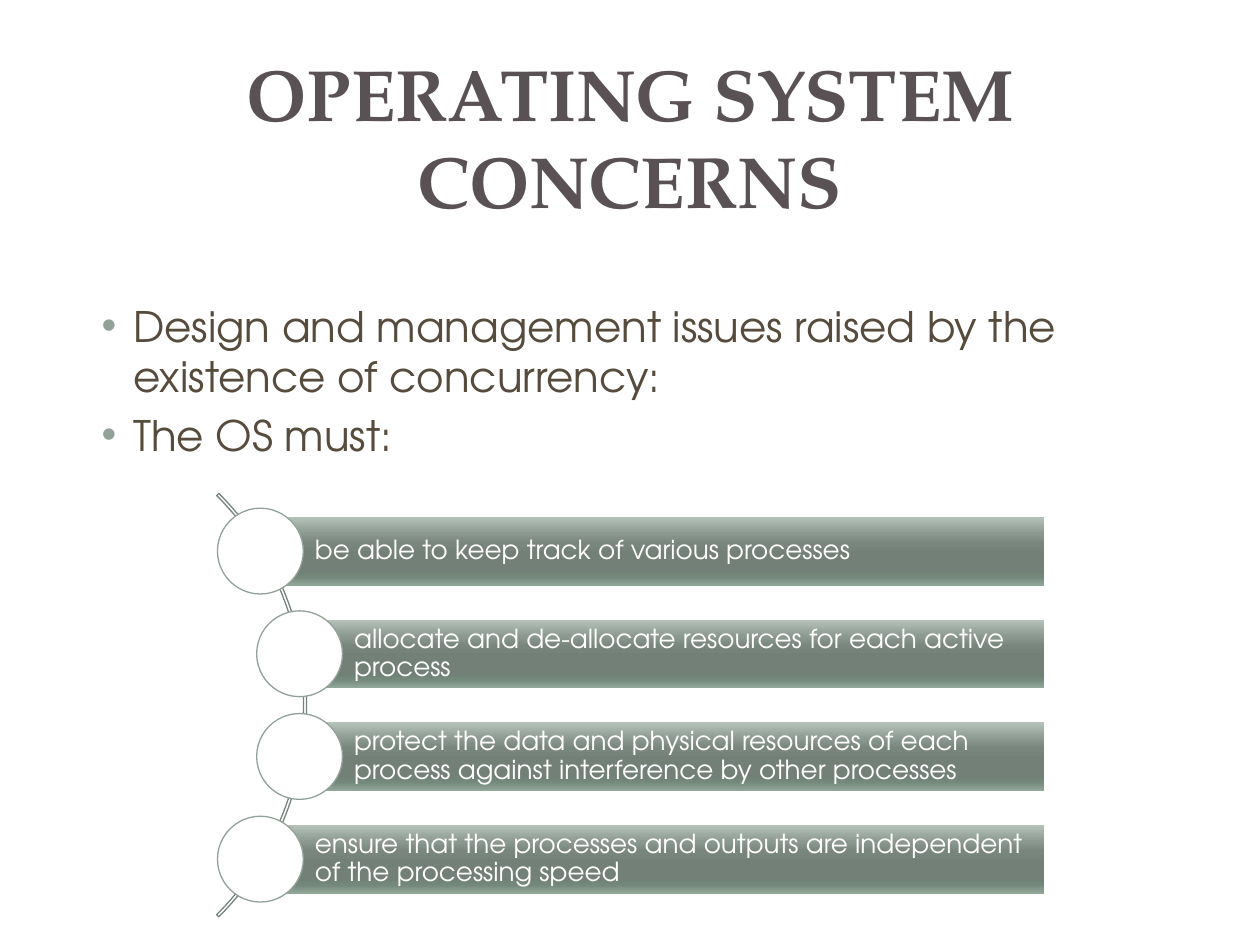
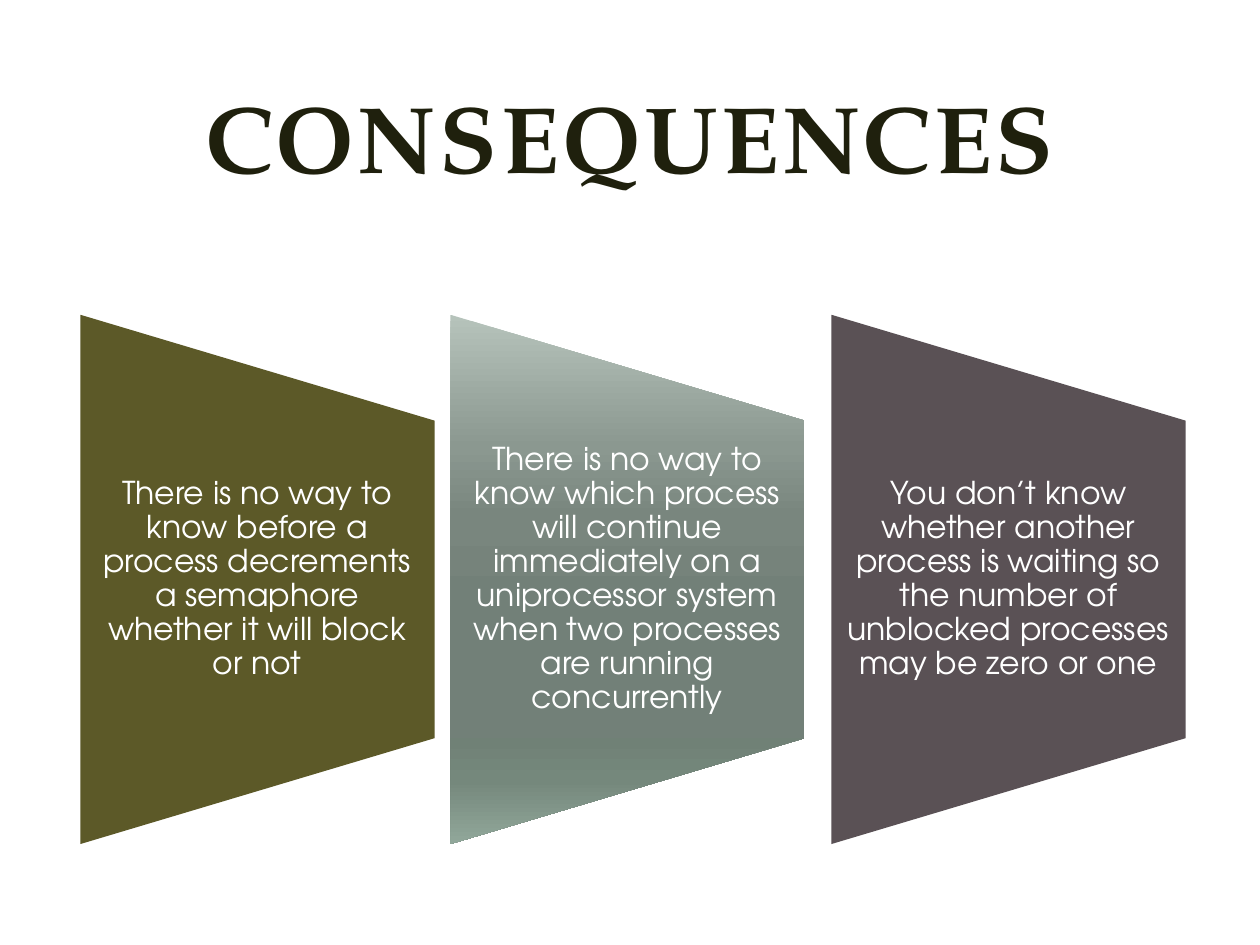
from dataclasses import dataclass

from lxml import etree
from pptx import Presentation
from pptx import util as u
from pptx.dml.color import RGBColor
from pptx.enum import shapes, text
from pptx.oxml import ns

Cm, Pt = u.Cm, u.Pt


@dataclass(frozen=True)
class Theme:
    title_font: str = "TeX Gyre Pagella"
    body_font: str = "TeX Gyre Adventor"
    bullet_font: str = "Arial"
    white: str = "FFFFFF"
    plum: str = "5A5155"
    dark_olive: str = "1F200D"
    olive: str = "5C5928"
    brown: str = "564B3C"
    sage: str = "93A299"
    arc_line: str = "76827B"
    # (position in percent, colour), from top to bottom
    sage_gradient: tuple = (
        (0, "B6C3BB"), (25, "8B9890"), (38, "79867E"), (55, "728078"),
        (80, "708176"), (88, "75887C"), (100, "91A79A"))
    body_size: float = 24
    card_size: float = 18
    bar_size: float = 15


THEME = Theme()

DUTIES = [
    "be able to keep track of various processes",
    "allocate and de-allocate resources for each active process",
    "protect the data and physical resources of each process against "
    "interference by other processes",
    "ensure that the processes and outputs are independent of the "
    "processing speed",
]

# text, left edge in cm, fill
CONSEQUENCES = [
    ("There is no way to know before a process decrements a semaphore "
     "whether it will block or not", 1.62, THEME.olive),
    ("There is no way to know which process will continue immediately on a "
     "uniprocessor system when two processes are running concurrently",
     9.08, THEME.sage_gradient),
    ("You don’t know whether another process is waiting so the number of "
     "unblocked processes may be zero or one", 16.76, THEME.plum),
]


def rgb(value):
    return RGBColor.from_string(value)


def add_child(parent, tag, **attrs):
    return etree.SubElement(parent, ns.qn(tag), attrs)


def add_bullet(p):
    pPr = p._p.get_or_add_pPr()
    pPr.set("marL", str(Cm(0.95)))
    pPr.set("indent", str(-Cm(0.64)))
    add_child(add_child(pPr, "a:buClr"), "a:srgbClr", val=THEME.sage)
    add_child(pPr, "a:buFont", typeface=THEME.bullet_font)
    add_child(pPr, "a:buChar", char="•")


def write(sp, *lines, size, color, font=THEME.body_font, bold=False,
          align=text.PP_ALIGN.LEFT, anchor=text.MSO_ANCHOR.MIDDLE,
          insets=(0.25, 0.13, 0.25, 0.13), line_spacing=None, gap=0,
          tracking=0, bullets=False):
    """Fill a shape with paragraphs; insets in cm, gap and tracking in points."""
    tf = sp.text_frame
    tf.word_wrap = True
    tf.vertical_anchor = anchor
    tf.margin_left, tf.margin_top, tf.margin_right, tf.margin_bottom = map(
        Cm, insets)
    for i, line in enumerate(lines):
        p = tf.add_paragraph() if i else tf.paragraphs[0]
        p.alignment = align
        if line_spacing:
            p.line_spacing = line_spacing
        if i and gap:
            p.space_before = Pt(gap)
        if bullets:
            add_bullet(p)
        r = p.add_run()
        r.text = line
        r.font.name, r.font.size, r.font.bold = font, Pt(size), bold
        r.font.color.rgb = rgb(color)
        if tracking:
            r._r.get_or_add_rPr().set("spc", str(tracking * 100))


def paint_gradient(sp, stops):
    """Run the stops down the slide, whatever the rotation of the shape."""
    sp.fill.gradient()
    sp.fill.gradient_angle = (270 + sp.rotation) % 360
    gs_list = sp._element.spPr.find(ns.qn("a:gradFill")).find(ns.qn("a:gsLst"))
    for gs in list(gs_list):
        gs_list.remove(gs)
    for pos, color in stops:
        gs = add_child(gs_list, "a:gs", pos=str(pos * 1000))
        add_child(gs, "a:srgbClr", val=color)


def add_figure(slide, kind, left, top, width, height, fill=None, line=None,
               rotation=0):
    """Add a preset shape; fill is a colour, gradient stops or None."""
    sp = slide.shapes.add_shape(
        kind, Cm(left), Cm(top), Cm(width), Cm(height))
    sp.shadow.inherit = False
    sp.rotation = rotation
    if fill is None:
        sp.fill.background()
    elif isinstance(fill, str):
        sp.fill.solid()
        sp.fill.fore_color.rgb = rgb(fill)
    else:
        paint_gradient(sp, fill)
    if line:
        sp.line.color.rgb = rgb(line)
        sp.line.width = Pt(0.75)
    else:
        sp.line.fill.background()
    return sp


def add_text(slide, left, top, width, height, *lines, **fmt):
    box = slide.shapes.add_textbox(Cm(left), Cm(top), Cm(width), Cm(height))
    write(box, *lines, **fmt)


def add_panels(slide):
    """The page card and the double title band behind the content."""
    page = add_figure(slide, shapes.MSO_SHAPE.ROUNDED_RECTANGLE,
                      0.25, 0.28, 24.89, 18.52, THEME.white)
    page.adjustments[0] = 0.017
    band = add_figure(slide, shapes.MSO_SHAPE.RECTANGLE,
                      0.76, 0.76, 23.88, 3.68, THEME.white)
    color = band._element.spPr.find(ns.qn("a:solidFill"))[0]
    add_child(color, "a:alpha", val="83000")
    add_figure(slide, shapes.MSO_SHAPE.RECTANGLE,
               1.04, 1.04, 23.29, 3.1, THEME.white)


def add_titled_slide(prs, title, **fmt):
    slide = prs.slides.add_slide(prs.slide_layouts[6])
    slide.background.fill.solid()
    slide.background.fill.fore_color.rgb = rgb(THEME.white)
    add_panels(slide)
    add_text(slide, 1.83, 1.26, 21.74, 2.97, title, font=THEME.title_font,
             bold=True, align=text.PP_ALIGN.CENTER, **fmt)
    return slide


def add_duty_list(slide):
    """Bars with a circle at the left end of each, strung along an arc."""
    first_top, pitch, height, right = 10.42, 2.07, 1.38, 21.05
    outer_left, inner_left, circle = 5.25, 6.04, 1.73
    arc = add_figure(slide, shapes.MSO_SHAPE.BLOCK_ARC,
                     -5.89, 8.18, 12.07, 12.07, line=THEME.arc_line)
    for i, value in enumerate((189, 27, 0.005)):
        arc.adjustments[i] = value
    for i, duty in enumerate(DUTIES):
        left = outer_left if i in (0, len(DUTIES) - 1) else inner_left
        top = first_top + i * pitch
        bar = add_figure(slide, shapes.MSO_SHAPE.RECTANGLE, left, top,
                         right - left, height, THEME.sage_gradient)
        write(bar, duty, size=THEME.bar_size, color=THEME.white,
              insets=(1.1, 0.1, 0.1, 0.1), line_spacing=0.9)
        add_figure(slide, shapes.MSO_SHAPE.OVAL, left - circle / 2,
                   top + (height - circle) / 2, circle, circle,
                   THEME.white, THEME.sage)


def add_consequence_card(slide, label, left, fill):
    """A trapezoid turned on its side, with upright text over it."""
    width, height, middle, text_height = 7.14, 10.67, 11.68, 6.4
    add_figure(slide, shapes.MSO_SHAPE.FLOWCHART_MANUAL_OPERATION,
               left + (width - height) / 2, middle - width / 2,
               height, width, fill, rotation=270)
    add_text(slide, left, middle - text_height / 2, width, text_height, label,
             size=THEME.card_size, color=THEME.white, line_spacing=0.9,
             align=text.PP_ALIGN.CENTER, insets=(0.31, 0, 0.32, 0))


def main():
    prs = Presentation()
    prs.slide_width, prs.slide_height = Cm(25.4), Cm(19.05)

    concerns = add_titled_slide(prs, "OPERATING SYSTEM CONCERNS",
                                size=41.4, color=THEME.plum)
    add_text(concerns, 1.49, 5.92, 22.02, 12.07,
             "Design and management issues raised by the existence of "
             "concurrency:", "The OS must:",
             size=THEME.body_size, color=THEME.brown, gap=4.8, bullets=True,
             anchor=text.MSO_ANCHOR.TOP)
    add_duty_list(concerns)

    consequences = add_titled_slide(prs, "CONSEQUENCES", size=54,
                                    color=THEME.dark_olive, tracking=2)
    for label, left, fill in CONSEQUENCES:
        add_consequence_card(consequences, label, left, fill)

    prs.save("out.pptx")


if __name__ == "__main__":
    main()
